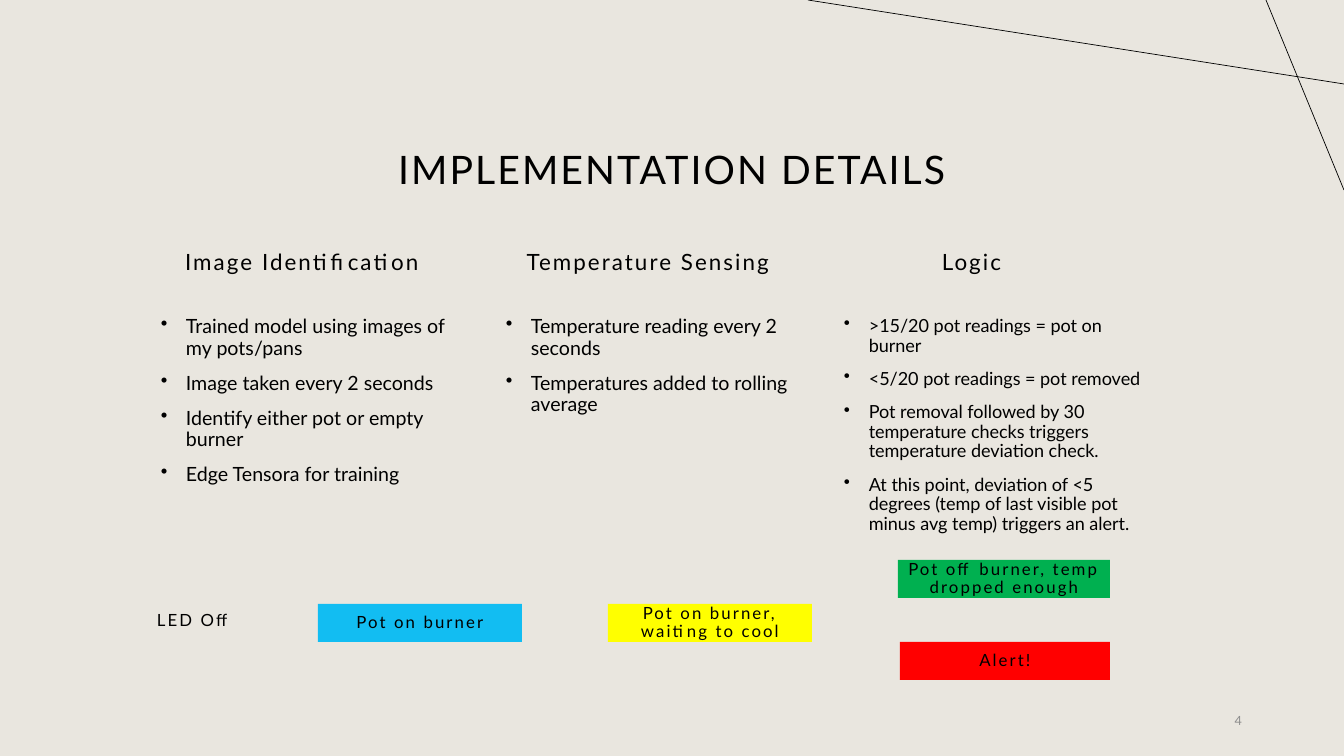
from lxml.etree import SubElement
from pptx import Presentation
from pptx.dml.color import RGBColor
from pptx.enum.shapes import MSO_CONNECTOR, MSO_SHAPE
from pptx.enum.text import MSO_ANCHOR, PP_ALIGN
from pptx.oxml.ns import qn
from pptx.util import Emu, Pt

EMU_PER_PIXEL = 914400 / 100.8
BACKGROUND = RGBColor(0xE9, 0xE6, 0xDF)
BLACK = RGBColor(0x00, 0x00, 0x00)
GRAY = RGBColor(0x8C, 0x8C, 0x8C)
BLUE = RGBColor(0x12, 0xBD, 0xF2)
YELLOW = RGBColor(0xFF, 0xFF, 0x00)
GREEN = RGBColor(0x00, 0xB0, 0x50)
RED = RGBColor(0xFF, 0x00, 0x00)


def px(value):
    return Emu(round(value * EMU_PER_PIXEL))


class SlideBuilder:
    font_name = "Lato"
    line_spacing = 0.9
    space_before = Pt(10)
    letter_spacing = 150  # hundredths of a point
    bullet_indent = 25

    def __init__(self, slide):
        self.slide = slide
        slide.background.fill.solid()
        slide.background.fill.fore_color.rgb = BACKGROUND

    def line(self, start, end):
        connector = self.slide.shapes.add_connector(
            MSO_CONNECTOR.STRAIGHT, *map(px, start + end))
        connector.line.color.rgb = BLACK
        connector.line.width = Pt(0.5)
        SubElement(connector._element.spPr, qn("a:effectLst"))

    def style(self, paragraph, size, color=BLACK):
        paragraph.font.name = self.font_name
        paragraph.font.size = Pt(size)
        paragraph.font.color.rgb = color

    def fill_label(self, shape, text, size):
        frame = shape.text_frame
        frame.word_wrap = True
        frame.vertical_anchor = MSO_ANCHOR.MIDDLE
        paragraph = frame.paragraphs[0]
        run = paragraph.add_run()
        run.text = text
        run.font._element.set("spc", str(self.letter_spacing))
        paragraph.alignment = PP_ALIGN.CENTER
        paragraph.line_spacing = self.line_spacing
        paragraph.space_before = self.space_before
        self.style(paragraph, size)

    def label(self, box, text, size):
        self.fill_label(self.slide.shapes.add_textbox(*map(px, box)), text, size)

    def status(self, box, text, color):
        shape = self.slide.shapes.add_shape(MSO_SHAPE.RECTANGLE, *map(px, box))
        shape.shadow.inherit = False
        shape.fill.solid()
        shape.fill.fore_color.rgb = color
        shape.line.fill.background()
        self.fill_label(shape, text, 12)

    def bullets(self, box, items, size):
        frame = self.slide.shapes.add_textbox(*map(px, box)).text_frame
        frame.word_wrap = True
        for index, item in enumerate(items):
            paragraph = frame.add_paragraph() if index else frame.paragraphs[0]
            paragraph.text = item
            paragraph.line_spacing = self.line_spacing
            paragraph.space_before = self.space_before
            self.style(paragraph, size)
            properties = paragraph._p.get_or_add_pPr()
            properties.set("marL", str(px(self.bullet_indent)))
            properties.set("indent", str(px(-self.bullet_indent)))
            bullet = properties.makeelement(qn("a:buChar"), {"char": "•"})
            properties.find(qn("a:defRPr")).addprevious(bullet)

    def page_number(self, box, text):
        frame = self.slide.shapes.add_textbox(*map(px, box)).text_frame
        frame.word_wrap = True
        frame.vertical_anchor = MSO_ANCHOR.MIDDLE
        paragraph = frame.paragraphs[0]
        paragraph.text = text
        paragraph.alignment = PP_ALIGN.RIGHT
        self.style(paragraph, 9, GRAY)


presentation = Presentation()
presentation.slide_width = px(1344)
presentation.slide_height = px(756)
builder = SlideBuilder(presentation.slides.add_slide(presentation.slide_layouts[6]))

# Corner lines
builder.line((1344, 84), (808, 0))
builder.line((1266, 0), (1344, 190))

# Title
builder.label((208, 99, 928, 146), "IMPLEMENTATION DETAILS", 28)

# Columns: heading, heading left and width, list left and width, size, items
columns = [
    ("Image Identification", 170, 264, 151, 318, 14, [
        "Trained model using images of my pots/pans",
        "Image taken every 2 seconds",
        "Identify either pot or empty burner",
        "Edge Tensora for training"]),
    ("Temperature Sensing", 516, 264, 496, 318, 14, [
        "Temperature reading every 2 seconds",
        "Temperatures added to rolling average"]),
    ("Logic", 844, 255, 834, 334, 12.9, [
        ">15/20 pot readings = pot on burner",
        "<5/20 pot readings = pot removed",
        "Pot removal followed by 30 temperature checks triggers "
        "temperature deviation check.",
        "At this point, deviation of <5 degrees (temp of last visible pot "
        "minus avg temp) triggers an alert."]),
]
for heading, heading_left, heading_width, left, width, size, items in columns:
    builder.label((heading_left, 244, heading_width, 38), heading, 16)
    builder.bullets((left, 312, width, 220), items, size)

# LED states
builder.label((125, 602, 137, 38), "LED Off", 12)
statuses = [
    (318, 604, 204, "Pot on burner", BLUE),
    (608, 604, 204, "Pot on burner, waiting to cool", YELLOW),
    (898, 560, 212, "Pot off burner, temp dropped enough", GREEN),
    (900, 642, 210, "Alert!", RED),
]
for left, top, width, text, color in statuses:
    builder.status((left, top, width, 38), text, color)

# Slide number
builder.page_number((950, 700, 302, 40), "4")

presentation.save("out.pptx")
